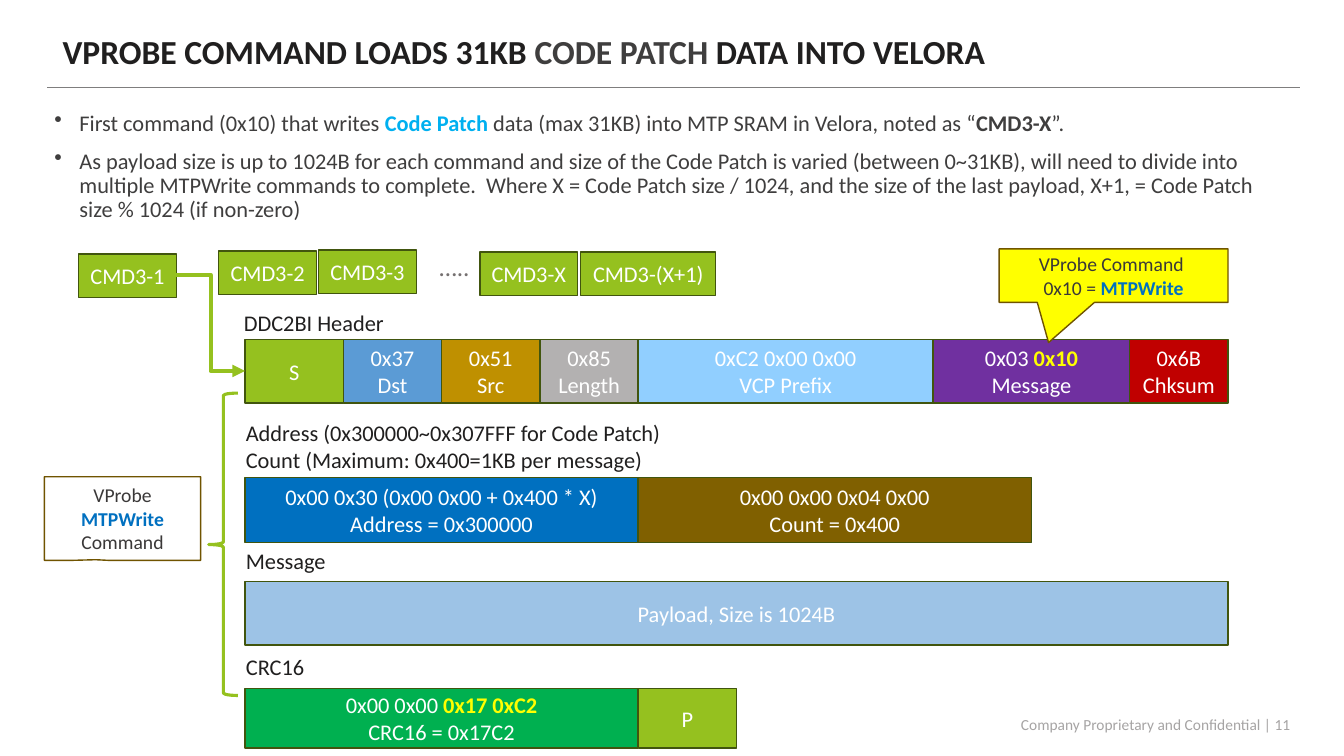
import dataclasses
import typing

import pptx
import pptx.dml.color
import pptx.enum.shapes
import pptx.enum.text
import pptx.oxml
import pptx.oxml.ns
import pptx.util

Inches, Pt = pptx.util.Inches, pptx.util.Pt
SHAPE = pptx.enum.shapes.MSO_SHAPE
CONNECTOR = pptx.enum.shapes.MSO_CONNECTOR
ALIGN = pptx.enum.text.PP_ALIGN
ANCHOR = pptx.enum.text.MSO_ANCHOR

COLORS = {
    "white": "FFFFFF", "ink": "201F1F", "body": "3F3E3E", "callout": "3A3838",
    "dots": "757070", "footer": "A6A4A4", "rule": "7F7E7E",
    "lime": "95C11F", "cell line": "41550E", "callout line": "705400",
    "blue": "5B9BD5", "gold": "BF9000", "grey": "B3B1B1", "sky": "91CFFF",
    "purple": "7030A0", "red": "C00000", "deep blue": "0070C0", "brown": "806000",
    "pale blue": "9DC3E6", "green": "00B050", "yellow": "FFFF00", "cyan": "00B0F0",
}


class Span(typing.NamedTuple):
    text: str
    color: str | None = None
    bold: bool = False


Line = list[Span]


@dataclasses.dataclass
class Block:
    """A shape with text, or plain text when shape is None."""
    left: float
    top: float
    width: float
    height: float
    lines: list[Line]
    shape: typing.Any = SHAPE.RECTANGLE
    fill: str | None = None
    line: str = "cell line"
    color: str = "white"
    size: int = 16
    align: typing.Any = ALIGN.CENTER
    anchor: typing.Any = ANCHOR.MIDDLE
    wrap: bool = True
    adjust: tuple[float, ...] = ()
    line_width: float = 1


def rgb(name: str) -> pptx.dml.color.RGBColor:
    return pptx.dml.color.RGBColor.from_string(COLORS[name])


def plain(*texts: str) -> list[Line]:
    return [[Span(text)] for text in texts]


def apply(target: typing.Any, values: dict[str, typing.Any]) -> None:
    for name, value in values.items():
        setattr(target, name, value)


def write(frame: typing.Any, block: Block, bullet: bool = False) -> None:
    apply(frame, {"word_wrap": block.wrap, "vertical_anchor": block.anchor,
                  "auto_size": pptx.enum.text.MSO_AUTO_SIZE.NONE})
    for index, line in enumerate(block.lines):
        paragraph = frame.add_paragraph() if index else frame.paragraphs[0]
        paragraph.alignment = block.align
        if bullet:
            properties = paragraph._p.get_or_add_pPr()
            properties.set("marL", str(Inches(0.25)))
            properties.set("indent", str(-Inches(0.25)))
            mark = pptx.oxml.ns.qn("a:buChar")
            properties.append(properties.makeelement(mark, {"char": "•"}))
            apply(paragraph, {"line_spacing": 0.9, "space_before": Pt(10 if index else 0)})
        for span in line:
            run = paragraph.add_run()
            run.text = span.text
            apply(run.font, {"name": "Calibri", "size": Pt(block.size), "bold": span.bold})
            run.font.color.rgb = rgb(span.color or block.color)


def draw(slide: typing.Any, block: Block, bullet: bool = False) -> None:
    box = [Inches(v) for v in (block.left, block.top, block.width, block.height)]
    if block.shape is None:
        item = slide.shapes.add_textbox(*box)
    else:
        item = slide.shapes.add_shape(block.shape, *box)
        item.shadow.inherit = False
        for index, value in enumerate(block.adjust):
            item.adjustments[index] = value
        if block.fill:
            item.fill.solid()
            item.fill.fore_color.rgb = rgb(block.fill)
        else:
            item.fill.background()
        item.line.color.rgb = rgb(block.line)
        item.line.width = Pt(block.line_width)
    write(item.text_frame, block, bullet)


def connect(slide: typing.Any, kind: typing.Any, start: tuple[float, float],
            end: tuple[float, float], color: str, width: float, arrow: bool = False) -> None:
    link = slide.shapes.add_connector(kind, *(Inches(v) for v in start + end))
    link.line.color.rgb = rgb(color)
    link.line.width = Pt(width)
    if arrow:
        outline = link.line._get_or_add_ln()
        outline.append(outline.makeelement(pptx.oxml.ns.qn("a:tailEnd"), {"type": "triangle"}))
    properties = link._element.spPr
    properties.append(properties.makeelement(pptx.oxml.ns.qn("a:effectLst"), {}))


# Packet grid: ten equal columns, cells given as (columns, fill, lines)
PACKET_LEFT, PACKET_WIDTH = 2.43, 9.75
COLUMN = PACKET_WIDTH / 10
PACKET_ROWS = [
    (3.37, 0.63, [
        (1, "lime", plain("S")),
        (1, "blue", plain("0x37", "Dst")),
        (1, "gold", plain("0x51", "Src")),
        (1, "grey", plain("0x85", "Length")),
        (3, "sky", plain("0xC2 0x00 0x00", "VCP Prefix")),
        (2, "purple", [[Span("0x03 "), Span("0x10", "yellow", True)], [Span("Message")]]),
        (1, "red", plain("0x6B", "Chksum")),
    ]),
    (4.74, 0.64, [
        (4, "deep blue", plain("0x00 0x30 (0x00 0x00 + 0x400 * X)", "Address = 0x300000")),
        (4, "brown", plain("0x00 0x00 0x04 0x00", "Count = 0x400")),
    ]),
    (5.77, 0.63, [(10, "pale blue", plain("Payload, Size is 1024B"))]),
    (6.83, 0.59, [
        (4, "green", [[Span("0x00 0x00 "), Span("0x17 0xC2", "yellow", True)],
                      [Span("CRC16 = 0x17C2")]]),
        (1, "lime", plain("P")),
    ]),
]
ROW_LABELS = [
    (2.32, 3.02, 1.61, 0.37, plain("DDC2BI Header")),
    (2.34, 4.11, 4.37, 0.64, plain("Address (0x300000~0x307FFF for Code Patch)",
                                   "Count (Maximum: 0x400=1KB per message)")),
    (2.34, 5.38, 1, 0.37, plain("Message")),
    (2.34, 6.43, 0.79, 0.37, plain("CRC16")),
]
COMMANDS = [(0.78, 2.52, 0.97, "CMD3-1"), (2.17, 2.49, 0.97, "CMD3-2"),
            (3.16, 2.48, 0.97, "CMD3-3"), (4.76, 2.5, 0.97, "CMD3-X"),
            (5.76, 2.5, 1.34, "CMD3-(X+1)")]
TITLE = Block(0.52, 0.24, 11.07, 0.54, [[
    Span("VPROBE COMMAND LOADS 31KB ", "ink", True), Span("CODE PATCH ", "body", True),
    Span("DATA INTO VELORA", "ink", True)]], size=24, align=ALIGN.LEFT)
SUMMARY = Block(0.44, 1.06, 12.44, 1.09, [
    [Span("First command (0x10) that writes "), Span("Code Patch ", "cyan", True),
     Span("data (max 31KB) into MTP SRAM in Velora, noted as “"),
     Span("CMD3-X", bold=True), Span("”.")],
    [Span("As payload size is up to 1024B for each command and size of the Code Patch is "
          "varied (between 0~31KB), will need to divide into multiple MTPWrite commands to "
          "complete.  Where X = Code Patch size / 1024, and the size of the last payload, "
          "X+1, = Code Patch size % 1024 (if non-zero)")],
], shape=None, color="body", align=ALIGN.LEFT, anchor=ANCHOR.TOP)
FOOTER = Block(8.35, 7.06, 4.55, 0.26, plain("Company Proprietary and Confidential | 11"),
               shape=None, color="footer", size=11, align=ALIGN.RIGHT)
DOTS = Block(4.26, 2.44, 0.5, 0.4, plain("….."), shape=None, color="dots", size=18,
             align=ALIGN.LEFT, anchor=ANCHOR.TOP, wrap=False)
BRACE = Block(2.07, 3.9, 0.29, 3, [], shape=SHAPE.LEFT_BRACE, line="lime",
              adjust=(0.083, 0.501), line_width=2.25)
MTP_WRITE = Span("MTPWrite", "deep blue", True)
CALLOUTS = [
    Block(0.44, 4.73, 1.55, 0.83, [[Span("VProbe")], [MTP_WRITE], [Span("Command")]],
          shape=SHAPE.RECTANGULAR_CALLOUT, line="callout line", color="callout", size=14,
          adjust=(-0.172, 0.492)),
    Block(9.91, 2.47, 2.27, 0.53, [[Span("VProbe Command ")], [Span("0x10 = "), MTP_WRITE]],
          shape=SHAPE.RECTANGULAR_CALLOUT, fill="yellow", line="callout line",
          color="callout", size=14, adjust=(-0.284, 1.253)),
]


def main() -> None:
    deck = pptx.Presentation()
    apply(deck, {"slide_width": Inches(13.33), "slide_height": Inches(7.5)})
    slide = deck.slides.add_slide(deck.slide_layouts[5])

    # Title, rule, summary and footer
    title = slide.shapes.title
    apply(title, {side: Inches(getattr(TITLE, side))
                  for side in ("left", "top", "width", "height")})
    write(title.text_frame, TITLE)
    connect(slide, CONNECTOR.STRAIGHT, (0.47, 0.87), (12.89, 0.87), "rule", 1)
    draw(slide, SUMMARY, bullet=True)
    draw(slide, FOOTER)

    # Packet rows and their labels
    for top, height, cells in PACKET_ROWS:
        left = PACKET_LEFT
        for columns, fill, lines in cells:
            draw(slide, Block(left, top, columns * COLUMN, height, lines, fill=fill))
            left += columns * COLUMN
    for left, top, width, height, lines in ROW_LABELS:
        draw(slide, Block(left, top, width, height, lines, shape=None, color="ink",
                          align=ALIGN.LEFT, anchor=ANCHOR.TOP, wrap=False))

    # Command sequence leading into the packet
    for left, top, width, name in COMMANDS:
        draw(slide, Block(left, top, width, 0.43, plain(name), fill="lime"))
    draw(slide, DOTS)
    connect(slide, CONNECTOR.ELBOW, (1.75, 2.73), (PACKET_LEFT, 3.68), "lime", 3, arrow=True)

    # Brace and callouts
    for block in [BRACE, *CALLOUTS]:
        draw(slide, block)

    deck.save("out.pptx")


if __name__ == "__main__":
    main()
